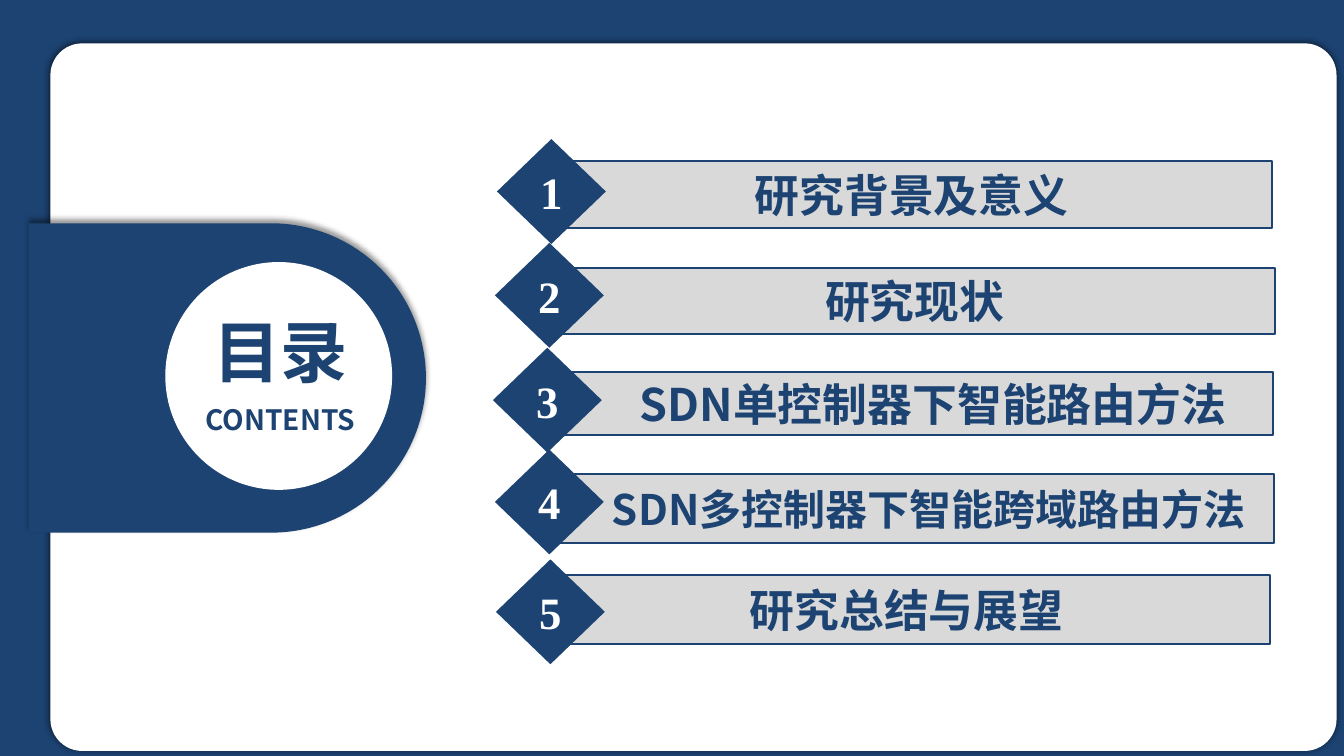
from dataclasses import dataclass

from lxml import etree
from pptx import Presentation
from pptx.dml.color import RGBColor
from pptx.enum.shapes import MSO_SHAPE
from pptx.enum.text import MSO_ANCHOR, PP_ALIGN
from pptx.oxml.ns import qn
from pptx.shapes.autoshape import Shape
from pptx.slide import Slide
from pptx.text.text import TextFrame
from pptx.util import Inches, Pt

RECT = MSO_SHAPE.RECTANGLE
CARD = MSO_SHAPE.ROUNDED_RECTANGLE
TAB = MSO_SHAPE.ROUND_2_SAME_RECTANGLE
OVAL = MSO_SHAPE.OVAL
DIAMOND = MSO_SHAPE.DIAMOND
CENTER = PP_ALIGN.CENTER
MIDDLE = MSO_ANCHOR.MIDDLE

NAVY = RGBColor(0x1C, 0x43, 0x72)
GREY = RGBColor(0xD9, 0xD9, 0xD9)
WHITE = RGBColor(0xFF, 0xFF, 0xFF)
CJK_FONT = "Noto Sans CJK SC"
NUMBER_FONT = "Times New Roman"

COLUMNS, ROWS = 160, 90
SLIDE_WIDTH, SLIDE_HEIGHT = Inches(13.33), Inches(7.5)
DIAMOND_COLUMNS, DIAMOND_ROWS = 12.96, 12.48


@dataclass(frozen=True)
class Area:
    """A rectangle in grid columns and rows."""
    left: float
    top: float
    width: float
    height: float

    def emu(self) -> tuple[int, int, int, int]:
        return (columns(self.left), rows(self.top),
                columns(self.width), rows(self.height))


@dataclass(frozen=True)
class Chapter:
    title: str
    bar: Area
    diamond_left: float
    diamond_top: float
    size: int = 32
    indent: float = 0


CHAPTERS = (
    Chapter("研究背景及意义", Area(65.64, 19.2, 85.8, 7.92), 59.16, 16.56),
    Chapter("研究现状", Area(66, 31.92, 85.8, 7.8), 58.92, 28.92),
    Chapter("SDN单控制器下智能路由方法", Area(67.08, 44.28, 84.48, 7.56),
            58.68, 41.4, indent=3.5),
    Chapter("SDN多控制器下智能跨域路由方法", Area(65.16, 56.4, 86.52, 8.28),
            58.92, 53.52, size=30, indent=4.3),
    Chapter("研究总结与展望", Area(64.68, 68.4, 86.52, 8.28), 59.04, 66.6),
)


def columns(count: float) -> int:
    return round(SLIDE_WIDTH * count / COLUMNS)


def rows(count: float) -> int:
    return round(SLIDE_HEIGHT * count / ROWS)


def add_filled(slide: Slide, kind: MSO_SHAPE, area: Area, fill: RGBColor,
               outline: RGBColor | None = None) -> Shape:
    shape = slide.shapes.add_shape(kind, *area.emu())
    shape.shadow.inherit = False
    shape.fill.solid()
    shape.fill.fore_color.rgb = fill
    if outline is None:
        shape.line.fill.background()
    else:
        shape.line.color.rgb = outline
        shape.line.width = Pt(1.5)
    return shape


def cast_shadow(shape: Shape, opacity: int, blur: float,
                distance: float = 0, angle: int = 0) -> None:
    """Add a black outer shadow; opacity in percent, lengths in points."""
    effects = shape._element.spPr.find(qn("a:effectLst"))
    shadow = etree.SubElement(
        effects, qn("a:outerShdw"), blurRad=str(Pt(blur)),
        dist=str(Pt(distance)), dir=str(angle * 60000), rotWithShape="0")
    black = etree.SubElement(shadow, qn("a:srgbClr"), val="000000")
    etree.SubElement(black, qn("a:alpha"), val=str(opacity * 1000))


def write(frame: TextFrame, words: str, size: int, color: RGBColor,
          typeface: str = CJK_FONT) -> None:
    """Put one bold, centred line into the frame."""
    frame.word_wrap = True
    paragraph = frame.paragraphs[0]
    paragraph.alignment = CENTER
    run = paragraph.add_run()
    run.text = words
    run.font.size = Pt(size)
    run.font.bold = True
    run.font.color.rgb = color
    run.font.name = typeface
    etree.SubElement(run._r.get_or_add_rPr(), qn("a:ea"), typeface=typeface)


def add_heading(slide: Slide, words: str, area: Area, size: int) -> None:
    box = slide.shapes.add_textbox(*area.emu())
    write(box.text_frame, words, size, NAVY)


def add_chapter(slide: Slide, number: int, chapter: Chapter) -> None:
    bar = add_filled(slide, RECT, chapter.bar, GREY, NAVY)
    bar.text_frame.vertical_anchor = MIDDLE
    bar.text_frame.margin_left += columns(chapter.indent)
    write(bar.text_frame, chapter.title, chapter.size, NAVY)

    place = Area(chapter.diamond_left, chapter.diamond_top,
                 DIAMOND_COLUMNS, DIAMOND_ROWS)
    diamond = add_filled(slide, DIAMOND, place, NAVY)
    diamond.text_frame.vertical_anchor = MIDDLE
    write(diamond.text_frame, str(number), 32, WHITE, NUMBER_FONT)


def add_backdrop(slide: Slide) -> None:
    add_filled(slide, RECT, Area(0, 0, COLUMNS, ROWS), NAVY)
    card = add_filled(slide, CARD, Area(6, 5.16, 153.12, 84.24), WHITE)
    card.adjustments[0] = 0.045
    cast_shadow(card, 68, 5)

    tab = add_filled(slide, TAB, Area(8.64, 21.36, 36.84, 47.28), NAVY)
    tab.adjustments[0] = 0.5
    tab.adjustments[1] = 0
    tab.rotation = 90
    cast_shadow(tab, 40, 4, 3, 270)
    add_filled(slide, OVAL, Area(19.68, 31.2, 27, 27.12), WHITE)


def main() -> None:
    deck = Presentation()
    deck.slide_width, deck.slide_height = SLIDE_WIDTH, SLIDE_HEIGHT
    slide = deck.slides.add_slide(deck.slide_layouts[6])
    add_backdrop(slide)
    add_heading(slide, "CONTENTS", Area(15.84, 47.28, 35.04, 5.28), 20)
    add_heading(slide, "目录", Area(15.84, 36.36, 35.04, 10.92), 48)
    for number, chapter in enumerate(CHAPTERS, start=1):
        add_chapter(slide, number, chapter)
    deck.save("out.pptx")


if __name__ == "__main__":
    main()
